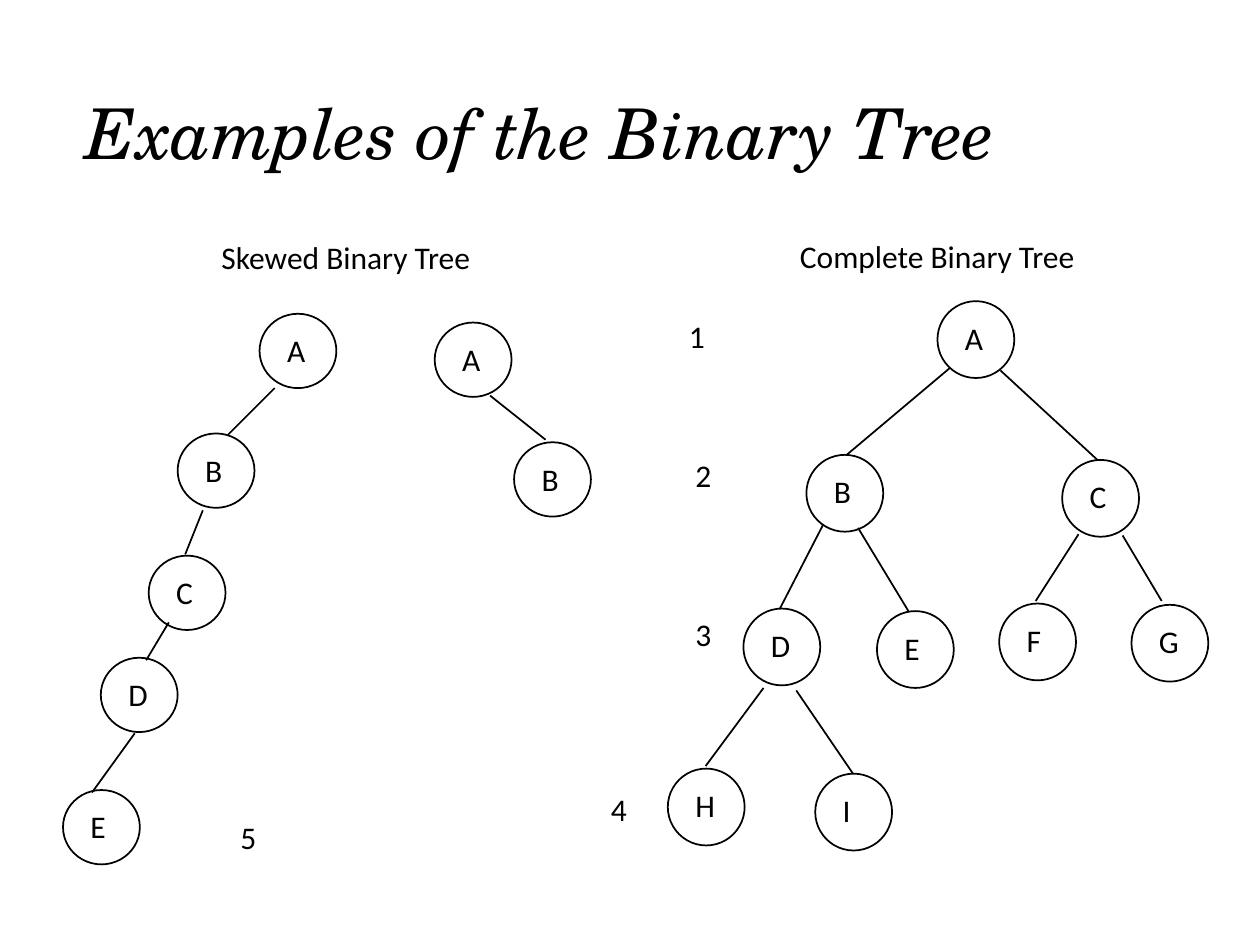
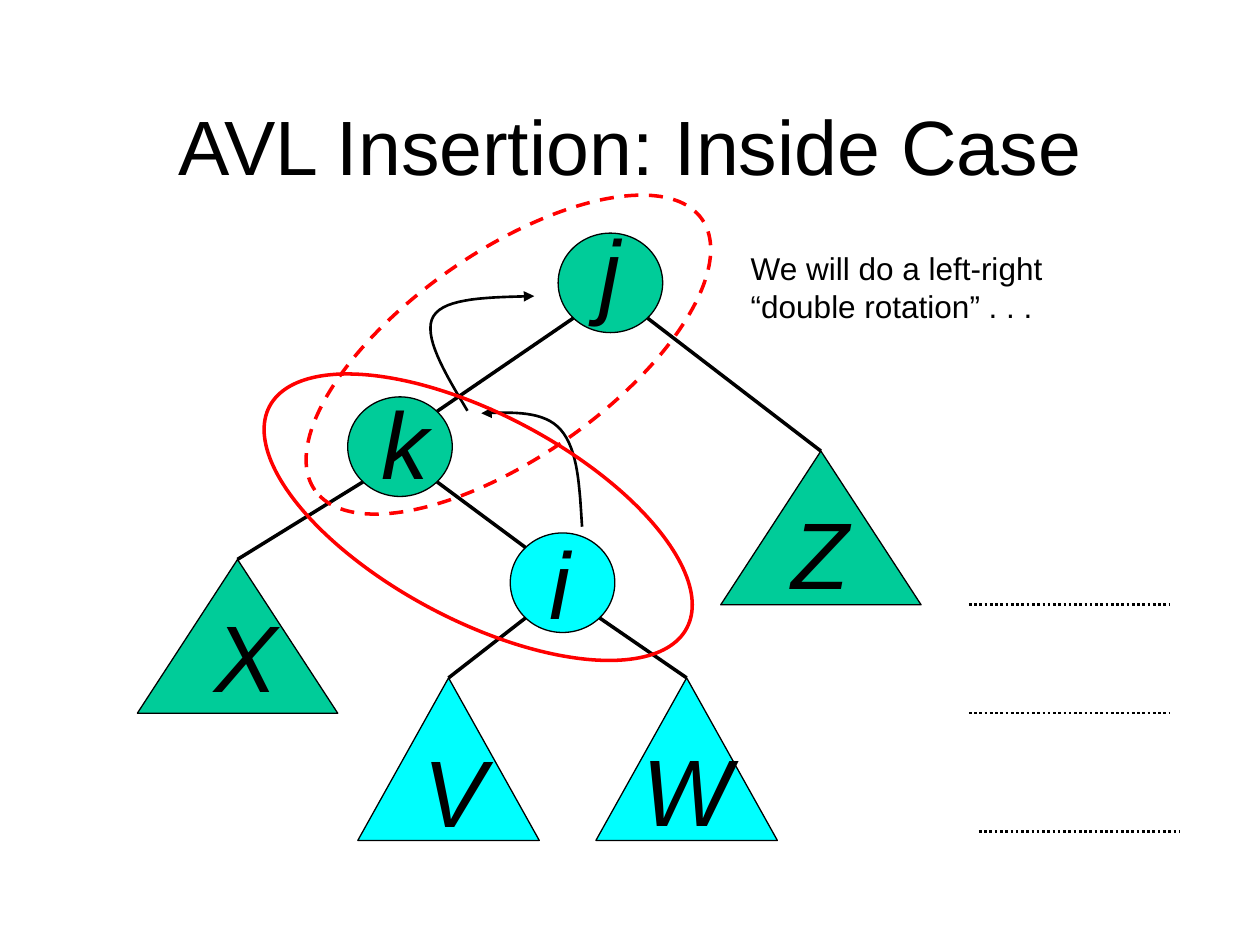
"""Builds two slides on binary trees and AVL insertion."""
from dataclasses import dataclass

from pptx import Presentation
from pptx import util as u
from pptx.dml.color import RGBColor
from pptx.enum import dml, shapes, text
from pptx.oxml.ns import qn

SCALE = 9144


@dataclass(frozen=True)
class Theme:
    """Colours, fonts, type sizes and line widths of the deck."""
    ink: str = "000000"
    settled: str = "00CC99"
    moving: str = "00FFFF"
    ring: str = "FF0000"
    serif: str = "TeX Gyre Schola"
    label: str = "Calibri"
    sans: str = "Arial"
    serif_title: int = 40
    sans_title: int = 44
    body: int = 18
    letter: int = 54
    thin: float = 0.75
    plain: float = 1
    arrow: float = 1.5
    thick: float = 2


THEME = Theme()


def px(*lengths):
    """Turn px lengths into EMU."""
    return [u.Emu(round(length * SCALE)) for length in lengths]


def style_text(frame, wording, font, size, italic=False, align=text.PP_ALIGN.LEFT):
    """Fill a text frame and format its runs."""
    frame.text = wording
    for paragraph in frame.paragraphs:
        paragraph.alignment = align
        for run in paragraph.runs:
            run.font.name = font
            run.font.size = u.Pt(size)
            run.font.italic = italic
            run.font.color.rgb = RGBColor.from_string(THEME.ink)


def style_line(line, width, color=THEME.ink, dash=None):
    """Set width, colour and dash of a line."""
    line.width = u.Pt(width)
    line.color.rgb = RGBColor.from_string(color)
    if dash is not None:
        line.dash_style = dash


def add_label(parent, box, wording, font, size, italic=False, wrap=True):
    """Add a text box."""
    frame = parent.shapes.add_textbox(*px(*box)).text_frame
    style_text(frame, wording, font, size, italic)
    frame.word_wrap = wrap


def add_figure(parent, kind, box, width, fill=None, color=THEME.ink, dash=None):
    """Add an outlined preset shape, filled if a fill is given."""
    figure = parent.shapes.add_shape(kind, *px(*box))
    figure.shadow.inherit = False
    if fill:
        figure.fill.solid()
        figure.fill.fore_color.rgb = RGBColor.from_string(fill)
    else:
        figure.fill.background()
    style_line(figure.line, width, color, dash)
    return figure


def add_edge(parent, start, end, width, dash=None):
    """Add a straight line between two points."""
    edge = parent.shapes.add_connector(
        shapes.MSO_CONNECTOR.STRAIGHT, *px(*start, *end))
    edge._element.spPr.get_or_add_ln()
    style_line(edge.line, width, dash=dash)
    edge._element.spPr.append(edge._element.makeelement(qn("a:effectLst"), {}))
    return edge


def titled_slide(deck, box, wording, font, size, italic=False,
                 align=text.PP_ALIGN.LEFT):
    """Add a slide and place and format its title."""
    slide = deck.slides.add_slide(deck.slide_layouts[5])
    title = slide.shapes.title
    title.left, title.top, title.width, title.height = px(*box)
    style_text(title.text_frame, wording, font, size, italic, align)
    title.text_frame.auto_size = text.MSO_AUTO_SIZE.NONE
    title.text_frame.vertical_anchor = text.MSO_ANCHOR.MIDDLE
    return slide


def example_tree(slide, box, node_height, caption, nodes, edges, levels):
    """Draw a captioned tree with level numbers as one group."""
    left, top = box
    tree = slide.shapes.add_group_shape()
    for letter, x, y in nodes:
        x, y = left + x, top + y
        add_figure(tree, shapes.MSO_SHAPE.OVAL, (x, y, 61, node_height), THEME.plain)
        add_label(tree, (x + 12, y + 9, 36, 40), letter, THEME.label, THEME.body)
    for x1, y1, x2, y2 in edges:
        add_edge(tree, (left + x1, top + y1), (left + x2, top + y2), THEME.plain)
    wording, x, width = caption
    add_label(tree, (left + x, top, width, 40), wording, THEME.label, THEME.body,
              wrap=False)
    for number, x, y in levels:
        add_label(tree, (left + x, top + y, 33, 40), number, THEME.label, THEME.body)


def avl_tree(slide, box):
    """Draw the AVL nodes, their subtrees, edges and letters."""
    left, top = box
    green, cyan = THEME.settled, THEME.moving
    nodes = {"j": (334, 0, green, 23, -21), "k": (167, 130, green, 17, -14),
             "i": (296, 238, cyan, 21, -11)}
    subtrees = {"X": (0, 259, green, 51, 26), "Z": (463, 173, green, 46, 30),
                "V": (175, 353, cyan, 42, 39), "W": (364, 353, cyan, 27, 38)}
    sizes = {green: (159, 122), cyan: (144, 129)}
    apexes = {}
    for letter, (x, y, fill, _, _) in nodes.items():
        add_figure(slide, shapes.MSO_SHAPE.OVAL, (left + x, top + y, 83, 79),
                   THEME.thin, fill)
    for letter, (x, y, fill, _, _) in subtrees.items():
        apexes[letter] = add_figure(
            slide, shapes.MSO_SHAPE.ISOSCELES_TRIANGLE,
            (left + x, top + y, *sizes[fill]), THEME.thin, fill)

    def rim(letter, across, down):
        """Give a diagonal point on a node's rim."""
        x, y = nodes[letter][:2]
        return (left + x + 83 * (0.5 + across * 0.354),
                top + y + 79 * (0.5 + down * 0.354))

    for parent, child, side in (("j", "k", -1), ("j", "Z", 1), ("k", "X", -1),
                                ("k", "i", 1), ("i", "V", -1), ("i", "W", 1)):
        start = rim(parent, side, 1)
        if child in nodes:
            add_edge(slide, start, rim(child, -side, -1), THEME.thick)
        else:
            add_edge(slide, start, start, THEME.thick).end_connect(apexes[child], 0)
    for letter, (x, y, _, dx, dy) in {**nodes, **subtrees}.items():
        add_label(slide, (left + x + dx, top + y + dy, 51, 100), letter,
                  THEME.sans, THEME.letter, italic=True)


def depth_marks(slide, box):
    """Draw the dotted lines that mark the subtree depths."""
    left, top = box
    for x, y in ((0, 0), (0, 86), (8, 180)):
        add_edge(slide, (left + x, top + y), (left + x + 159, top + y),
                 THEME.arrow, dml.MSO_LINE.ROUND_DOT)


def bezier(points, steps=16):
    """Sample a cubic curve after its first point."""
    for step in range(1, steps + 1):
        t = step / steps
        weights = ((1 - t) ** 3, 3 * t * (1 - t) ** 2, 3 * t * t * (1 - t), t ** 3)
        yield tuple(sum(w * p[axis] for w, p in zip(weights, points))
                    for axis in (0, 1))


def rotation_marks(slide, box):
    """Draw the curved rotation arrows and the rings round the pairs."""
    left, top = box
    arrows = (
        ((270, 218), (268, 187), (267, 157), (253, 141),
         (240, 126), (215, 127), (190, 128)),
        ((179, 126), (161, 96), (143, 66), (152, 51),
         (161, 36), (197, 36), (232, 35)),
    )
    for points in arrows:
        points = [(left + x, top + y) for x, y in points]
        curve = [*bezier(points[:4]), *bezier(points[3:])]
        builder = slide.shapes.build_freeform(*px(*points[0]))
        builder.add_line_segments([px(*point) for point in curve], close=False)
        arrow = builder.convert_to_shape()
        arrow.shadow.inherit = False
        arrow.fill.background()
        style_line(arrow.line, THEME.arrow)
        ln = arrow._element.spPr.get_or_add_ln()
        ln.append(ln.makeelement(qn("a:tailEnd"), {"type": "triangle"}))
    for x, y, angle, dash in ((0, 129, 28, None), (24, 0, 325, dml.MSO_LINE.DASH)):
        ring = add_figure(slide, shapes.MSO_SHAPE.OVAL, (left + x, top + y, 375, 163),
                          THEME.thick, color=THEME.ring, dash=dash)
        ring.rotation = angle


def examples_slide(deck):
    """Build the slide with the skewed and complete trees."""
    slide = titled_slide(deck, (58, 42, 833, 125), "Examples of the Binary Tree",
                         THEME.serif, THEME.serif_title, italic=True)
    example_tree(
        slide, (475, 183), 61, ("Complete Binary Tree", 150, 241),
        nodes=(("A", 269, 56), ("B", 165, 178), ("C", 368, 182),
               ("D", 115, 300), ("E", 221, 302), ("F", 318, 296),
               ("G", 423, 297), ("H", 55, 427), ("I", 172, 431)),
        edges=((279, 109, 197, 178), (319, 111, 396, 182),
               (178, 234, 144, 300), (206, 236, 246, 302),
               (381, 241, 347, 294), (416, 242, 447, 294),
               (131, 363, 85, 425), (157, 365, 202, 431)),
        levels=(("1", 62, 64), ("2", 67, 174), ("3", 67, 300), ("4", 0, 439)))
    example_tree(
        slide, (50, 184), 59, ("Skewed Binary Tree", 116, 220),
        nodes=(("A", 156, 65), ("B", 91, 160), ("C", 68, 257), ("D", 30, 338),
               ("E", 0, 443), ("A", 295, 72), ("B", 358, 167)),
        edges=((168, 124, 131, 161), (111, 221, 97, 256), (84, 310, 66, 340),
               (57, 398, 23, 445), (339, 130, 383, 165)),
        levels=(("5", 131, 460),))


def insertion_slide(deck):
    """Build the slide with the inside case of AVL insertion."""
    slide = titled_slide(deck, (73, 71, 855, 88), "AVL Insertion: Inside Case",
                         THEME.sans, THEME.sans_title, align=text.PP_ALIGN.CENTER)
    avl_tree(slide, (109, 185))
    depth_marks(slide, (769, 480))
    add_label(slide, (586, 193, 261, 71),
              "We will do a left-right\n“double rotation” . . .",
              THEME.sans, THEME.body, wrap=False)
    rotation_marks(slide, (192, 200))


def main():
    """Build and save the deck."""
    deck = Presentation()
    deck.slide_width, deck.slide_height = px(1000, 750)
    examples_slide(deck)
    insertion_slide(deck)
    deck.save("out.pptx")


if __name__ == "__main__":
    main()
